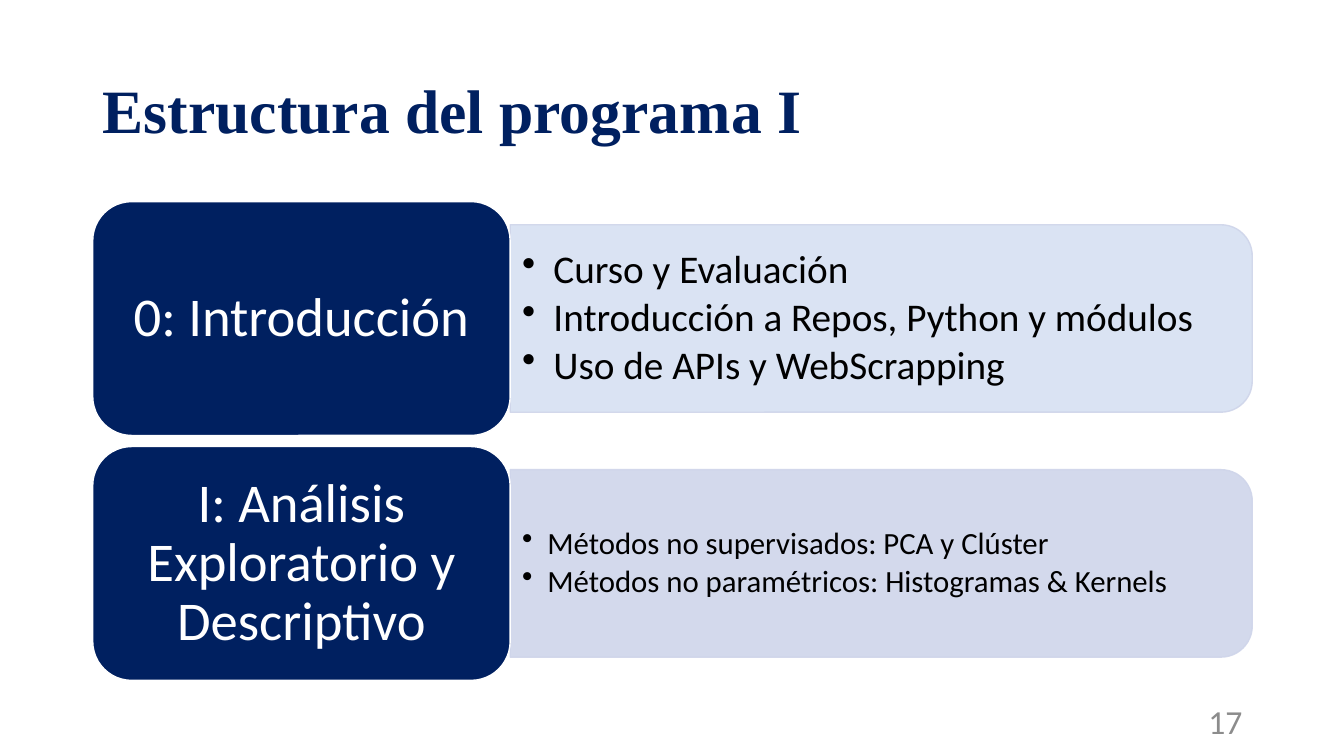
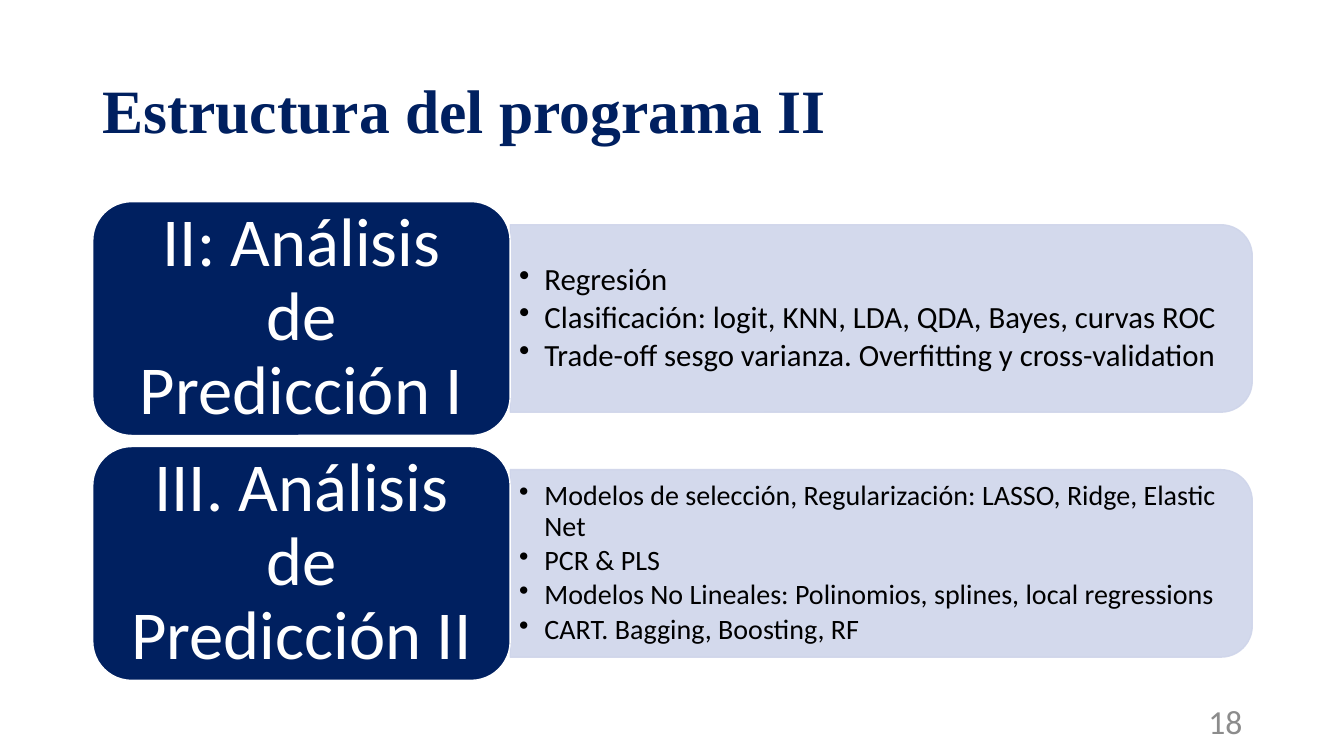
from lxml.etree import SubElement
from pptx import Presentation
from pptx.dml.color import RGBColor
from pptx.enum.shapes import MSO_SHAPE
from pptx.enum.text import MSO_ANCHOR, PP_ALIGN
from pptx.oxml.ns import qn
from pptx.util import Inches, Pt


def rgb(value):
    return RGBColor.from_string(value)


class Deck:
    NAVY, LAVENDER, SKY = "002060", "CFD5EA", "DAE3F3"
    WHITE, BLACK, GRAY = "FFFFFF", "000000", "8C8C8C"
    BODY_FONT, TITLE_FONT = "Calibri", "Times New Roman"
    LEFT, FIRST_TOP, PITCH = 0.92, 2, 2.43
    LABEL_WIDTH, LABEL_HEIGHT = 4.14, 2.32
    PANEL_WIDTH, PANEL_HEIGHT = 7.36, 1.86
    LIST_WIDTH, LIST_HEIGHT = 7.27, 1.68

    def __init__(self):
        self.presentation = Presentation()
        self.presentation.slide_width = Inches(13.33)
        self.presentation.slide_height = Inches(7.5)
        self.slide = None

    def add_slide(self, title, number):
        self.slide = self.presentation.slides.add_slide(self.presentation.slide_layouts[6])
        frame = self.text_box(self.LEFT, 0.4, 11.5, 1.45)
        self.add_text(frame.paragraphs[0], title, 44, self.NAVY, self.TITLE_FONT,
                      bold=True, spacing=0.9)
        frame = self.text_box(9.42, 6.95, 3, 0.4)
        self.add_text(frame.paragraphs[0], str(number), 24, self.GRAY, align=PP_ALIGN.RIGHT)

    def prepare(self, frame, inset):
        frame.word_wrap = True
        frame.vertical_anchor = MSO_ANCHOR.MIDDLE
        frame.margin_left = frame.margin_right = Inches(inset)
        frame.margin_top = frame.margin_bottom = Inches(inset / 2)
        return frame

    def text_box(self, left, top, width, height, inset=0.1):
        box = self.slide.shapes.add_textbox(Inches(left), Inches(top), Inches(width), Inches(height))
        return self.prepare(box.text_frame, inset)

    def add_text(self, paragraph, text, size, color, font=BODY_FONT, bold=False,
                 align=PP_ALIGN.LEFT, spacing=1.0):
        paragraph.alignment = align
        paragraph.line_spacing = spacing
        run = paragraph.add_run()
        run.text = text
        run.font.name = font
        run.font.size = Pt(size)
        run.font.bold = bold
        run.font.color.rgb = rgb(color)

    def shape(self, kind, left, top, width, height, fill, line):
        shape = self.slide.shapes.add_shape(
            kind, Inches(left), Inches(top), Inches(width), Inches(height))
        shape.shadow.inherit = False
        shape.fill.solid()
        shape.fill.fore_color.rgb = rgb(fill)
        shape.line.color.rgb = rgb(line)
        shape.line.width = Pt(1)
        return shape

    def panel(self, center, fill):
        middle = self.LEFT + self.LABEL_WIDTH + self.PANEL_WIDTH / 2
        panel = self.shape(
            MSO_SHAPE.ROUND_2_SAME_RECTANGLE,
            middle - self.PANEL_HEIGHT / 2, center - self.PANEL_WIDTH / 2,
            self.PANEL_HEIGHT, self.PANEL_WIDTH, fill, self.LAVENDER)
        panel.rotation = 90
        for color in panel.element.spPr.iter(qn("a:srgbClr")):
            if color.get("val") == self.LAVENDER:
                SubElement(color, qn("a:alpha")).set("val", "90000")

    def bullets(self, center, items, size, indent, inset):
        frame = self.text_box(self.LEFT + self.LABEL_WIDTH, center - self.LIST_HEIGHT / 2,
                              self.LIST_WIDTH, self.LIST_HEIGHT, inset)
        for index, item in enumerate(items):
            paragraph = frame.add_paragraph() if index else frame.paragraphs[0]
            self.add_text(paragraph, item, size, self.BLACK, spacing=0.9)
            paragraph.space_after = Pt(size * 0.15)
            properties = paragraph._p.get_or_add_pPr()
            properties.set("marL", str(Inches(indent)))
            properties.set("indent", str(-Inches(indent)))
            SubElement(properties, qn("a:buChar")).set("char", "•")

    def label(self, top, text, size, inset):
        label = self.shape(MSO_SHAPE.ROUNDED_RECTANGLE, self.LEFT, top,
                           self.LABEL_WIDTH, self.LABEL_HEIGHT, self.NAVY, self.WHITE)
        frame = self.prepare(label.text_frame, inset)
        self.add_text(frame.paragraphs[0], text, size, self.WHITE,
                      align=PP_ALIGN.CENTER, spacing=0.9)

    def block(self, row, heading, items, heading_size, heading_inset, size,
              indent=0.25, inset=0.09, fill=LAVENDER):
        top = self.FIRST_TOP + row * self.PITCH
        center = top + self.LABEL_HEIGHT / 2
        self.panel(center, fill)
        self.bullets(center, items, size, indent, inset)
        self.label(top, heading, heading_size, heading_inset)


def main():
    deck = Deck()

    deck.add_slide("Estructura del programa I", 17)
    deck.block(0, "0: Introducción", [
        "Curso y Evaluación",
        "Introducción a Repos, Python y módulos",
        "Uso de APIs y WebScrapping",
    ], 39, 0.16, 28, indent=0.31, inset=0.12, fill=Deck.SKY)
    deck.block(1, "I: Análisis Exploratorio y Descriptivo", [
        "Métodos no supervisados: PCA y Clúster",
        "Métodos no paramétricos: Histogramas & Kernels",
    ], 39, 0.16, 22, inset=0.12)

    deck.add_slide("Estructura del programa II", 18)
    deck.block(0, "II: Análisis de Predicción I", [
        "Regresión",
        "Clasificación: logit, KNN, LDA, QDA, Bayes, curvas ROC",
        "Trade-off sesgo varianza. Overfitting y cross-validation",
    ], 49, 0.2, 22)
    deck.block(1, "III. Análisis de Predicción II", [
        "Modelos de selección, Regularización: LASSO, Ridge, Elastic Net",
        "PCR & PLS",
        "Modelos No Lineales: Polinomios, splines, local regressions",
        "CART. Bagging, Boosting, RF",
    ], 49, 0.2, 20)

    deck.presentation.save("out.pptx")


if __name__ == "__main__":
    main()
